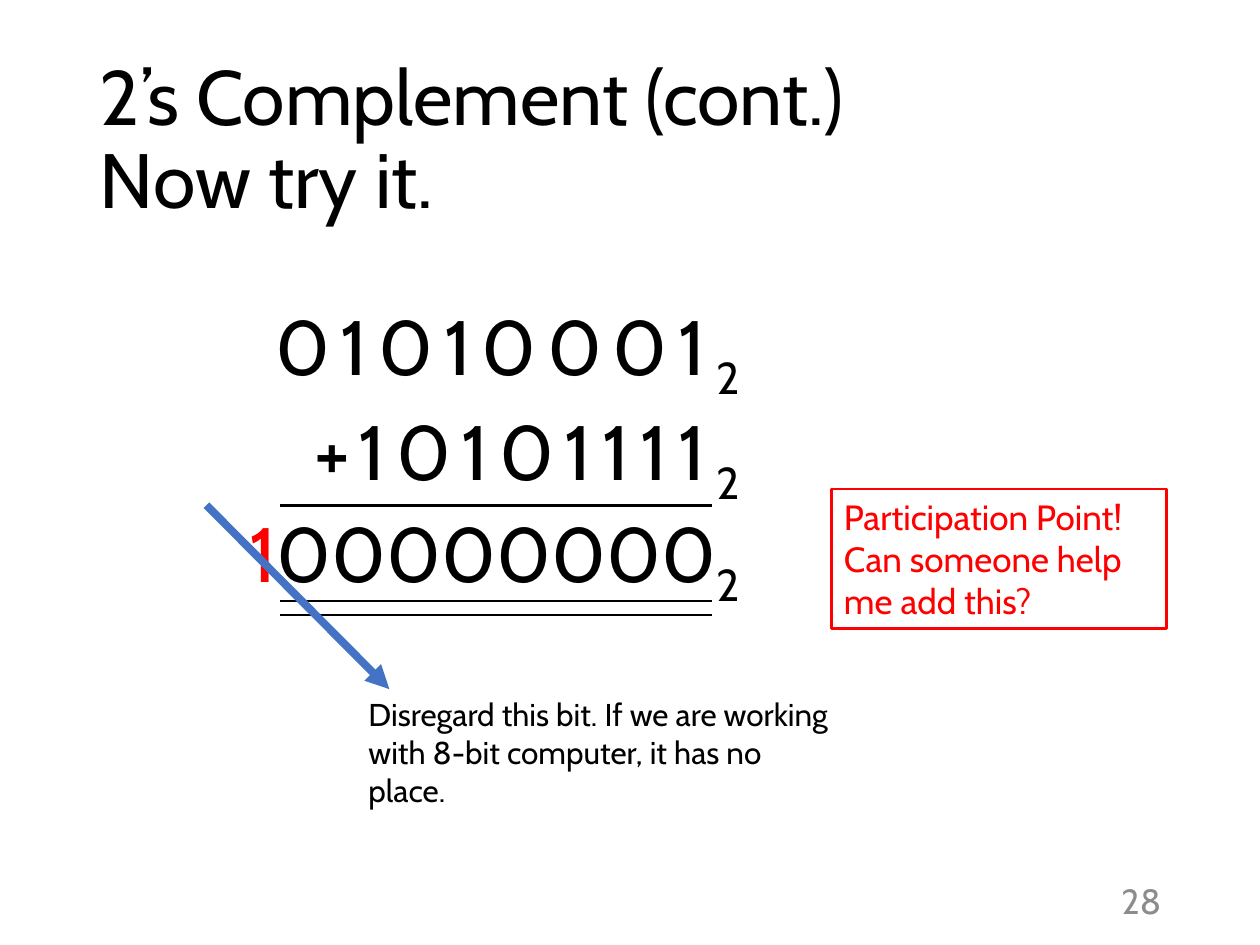
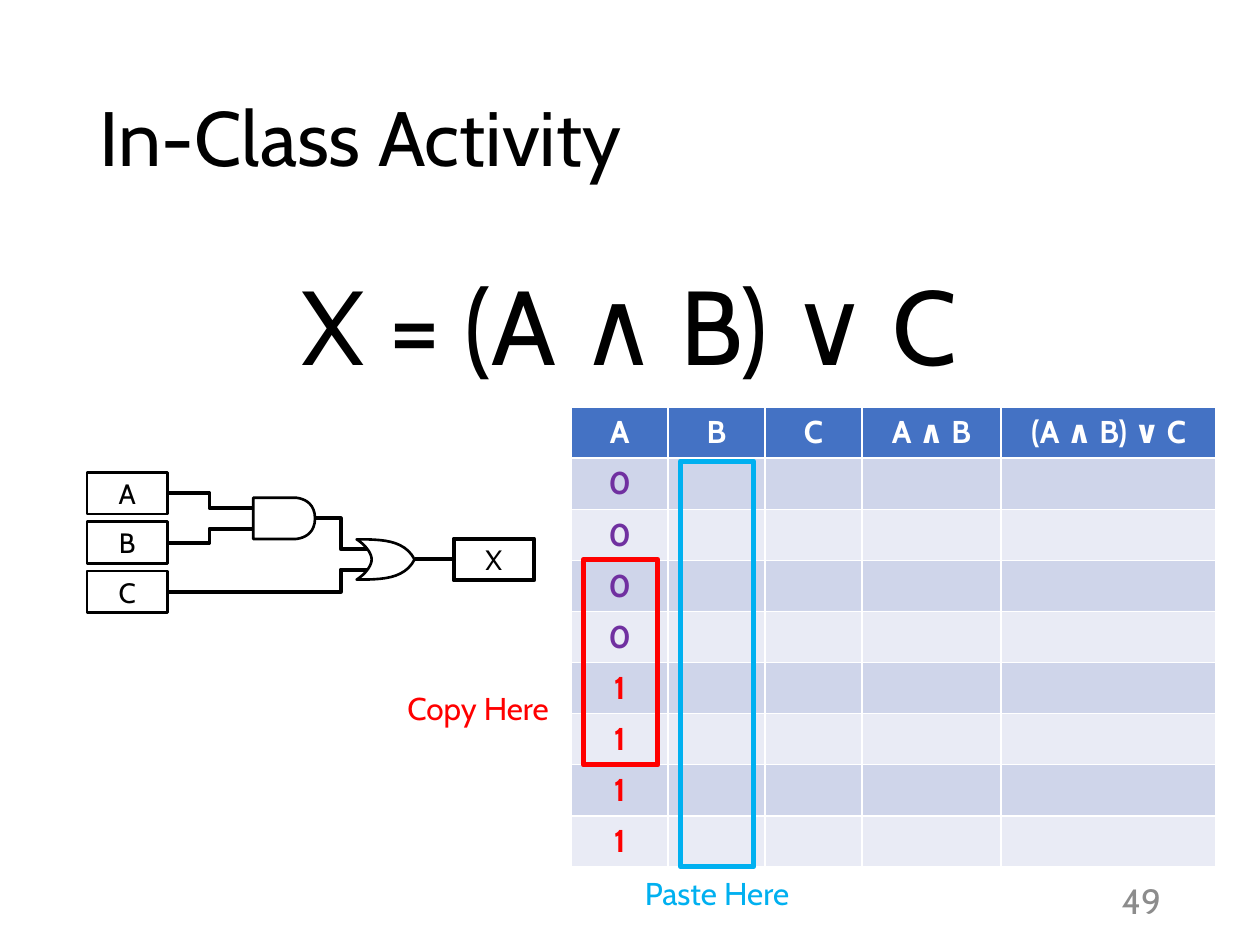
"""Builds two lecture slides: two's complement addition and a truth table exercise."""
from dataclasses import dataclass

from lxml import etree
from pptx import Presentation
from pptx.dml.color import RGBColor
from pptx.enum.shapes import MSO_CONNECTOR, MSO_SHAPE
from pptx.enum.text import MSO_ANCHOR, PP_ALIGN
from pptx.oxml.ns import qn
from pptx.util import Pt

LEFT, CENTER, RIGHT = PP_ALIGN.LEFT, PP_ALIGN.CENTER, PP_ALIGN.RIGHT
TOP, MIDDLE = MSO_ANCHOR.TOP, MSO_ANCHOR.MIDDLE
STRAIGHT, ELBOW = MSO_CONNECTOR.STRAIGHT, MSO_CONNECTOR.ELBOW
RECTANGLE = MSO_SHAPE.RECTANGLE


@dataclass(frozen=True)
class Theme:
    """Colours, font, type sizes and line widths shared by the slides."""
    font: str = "Cabin"
    black: str = "000000"
    white: str = "FFFFFF"
    gray: str = "8C8C8C"
    red: str = "FF0000"
    blue: str = "4472C4"
    cyan: str = "00B0F0"
    purple: str = "7030A0"
    bands: tuple = ("CFD5EA", "E9EBF5")
    title: float = 44
    formula: float = 60
    note: float = 20
    body: float = 18
    label: float = 16
    thin: float = 1.5
    wire: float = 2.25
    frame: float = 3
    arrow: float = 4.5


THEME = Theme()
SUBSCRIPT = {"baseline": -25}


def color(value):
    """Turn a hex string into a colour."""
    return RGBColor.from_string(value)


def write(frame, text, size=THEME.body, ink=THEME.black, align=LEFT, anchor=TOP,
          bold=False, leading=None, tracking=0):
    """Fill a text frame from a string, or from paragraphs of (text, changes) runs."""
    frame.word_wrap = True
    frame.vertical_anchor = anchor
    paragraphs = [[(text, {})]] if isinstance(text, str) else text
    for index, pieces in enumerate(paragraphs):
        paragraph = frame.add_paragraph() if index else frame.paragraphs[0]
        paragraph.alignment = align
        paragraph.line_spacing = leading
        for words, changes in pieces:
            for number, line in enumerate(words.split("\n")):
                if number:
                    paragraph.add_line_break()
                run = paragraph.add_run()
                run.text = line
                run.font.name = THEME.font
                run.font.size = Pt(size)
                run.font.bold = bold
                run.font.color.rgb = color(changes.get("ink", ink))
                properties = run._r.get_or_add_rPr()
                if tracking:
                    properties.set("spc", str(tracking * 100))
                if "baseline" in changes:
                    properties.set("baseline", str(changes["baseline"] * 1000))


def cubic(start, pull, push, end, steps=12):
    """Return points along a cubic curve."""
    points = []
    for step in range(steps + 1):
        t = step / steps
        weights = ((1 - t) ** 3, 3 * t * (1 - t) ** 2, 3 * t * t * (1 - t), t ** 3)
        points.append(tuple(sum(w * p[axis] for w, p in zip(weights, (start, pull, push, end)))
                            for axis in (0, 1)))
    return points


def mirrored(upper, axis):
    """Close an outline by reflecting its upper half below a horizontal axis."""
    return upper + [(x, 2 * axis - y) for x, y in reversed(upper)]


class Deck:
    """Holds the presentation, its theme and the current slide."""

    def __init__(self, theme):
        """Start an empty deck."""
        self.theme = theme
        self.presentation = Presentation()
        self.presentation.slide_width, self.presentation.slide_height = Pt(720), Pt(540)
        self.slide = None

    def start(self, title, number):
        """Add a slide with its title and page number."""
        self.slide = self.presentation.slides.add_slide(self.presentation.slide_layouts[6])
        self.text(title, (50, 28.8, 620.6, 104.4), size=self.theme.title,
                  anchor=MIDDLE, leading=0.9)
        self.text(str(number), (622.4, 500.4, 48.2, 28.8), size=self.theme.note,
                  ink=self.theme.gray, align=RIGHT, anchor=MIDDLE)

    def text(self, text, box, **style):
        """Add a text box."""
        write(self.slide.shapes.add_textbox(*map(Pt, box)).text_frame, text, **style)

    def outline(self, shape, line, width, fill=None):
        """Set the line and fill of a shape."""
        shape.shadow.inherit = False
        shape.line.color.rgb = color(line)
        shape.line.width = Pt(width)
        if fill:
            shape.fill.solid()
            shape.fill.fore_color.rgb = color(fill)
        else:
            shape.fill.background()

    def box(self, box, line, width, fill=None, text=None, **style):
        """Add a rectangle, with text if given."""
        shape = self.slide.shapes.add_shape(RECTANGLE, *map(Pt, box))
        self.outline(shape, line, width, fill)
        if text:
            write(shape.text_frame, text, **style)

    def gate(self, points):
        """Add a closed logic gate outline."""
        start, *rest = [(Pt(x), Pt(y)) for x, y in points]
        builder = self.slide.shapes.build_freeform(*start)
        builder.add_line_segments(rest, close=True)
        self.outline(builder.convert_to_shape(), self.theme.black, self.theme.thin)

    def line(self, start, end, width, ink=THEME.black, bend=None, arrow=False):
        """Add a straight line, or an elbow turning at the given share of its width."""
        connector = self.slide.shapes.add_connector(
            ELBOW if bend else STRAIGHT, *map(Pt, (*start, *end)))
        connector.line.color.rgb = color(ink)
        connector.line.width = Pt(width)
        properties = connector._element.spPr
        if bend:
            guides = properties.find(qn("a:prstGeom")).get_or_add_avLst()
            etree.SubElement(guides, qn("a:gd"), name="adj1", fmla=f"val {round(bend * 100000)}")
        if arrow:
            etree.SubElement(connector.line._get_or_add_ln(), qn("a:tailEnd"), type="triangle")
        etree.SubElement(properties, qn("a:effectLst"))

    def table(self, origin, widths, row_height, header, rows):
        """Add a banded table whose rows hold (text, colour) pairs."""
        theme = self.theme
        table = self.slide.shapes.add_table(
            len(rows) + 1, len(widths), *map(Pt, (*origin, sum(widths), row_height * (len(rows) + 1)))
        ).table
        for column, width in zip(table.columns, widths):
            column.width = Pt(width)
        content = [[(name, theme.white) for name in header]] + rows
        for r, entries in enumerate(content):
            for c, (value, ink) in enumerate(entries):
                cell = table.cell(r, c)
                cell.fill.solid()
                cell.fill.fore_color.rgb = color(theme.bands[(r - 1) % 2] if r else theme.blue)
                if value:
                    write(cell.text_frame, value, ink=ink, align=CENTER, bold=True)


def addition_slide(deck):
    """Show the binary addition and its overflowing bit."""
    theme = deck.theme
    digits = {"size": theme.title, "align": RIGHT}
    deck.start("2’s Complement (cont.)\nNow try it.", 28)
    base = ("2", SUBSCRIPT)
    addends = [[(addend, {}), base] for addend in ("01010001", "+10101111")]
    deck.text(addends, (140, 167, 290, 113.8), tracking=6, **digits)
    for rule_y in (288.7, 343.4, 351.4):
        deck.line((160, rule_y), (406.8, rule_y), theme.thin)
    total = [[("1", {"ink": theme.red}), ("00000000", {}), base]]
    deck.text(total, (120, 285.1, 310, 60.5), **digits)
    deck.line((118, 288.7), (222.5, 393.8), theme.arrow, theme.blue, arrow=True)
    deck.text("Disregard this bit. If we are working\nwith 8-bit computer, it has no place.",
              (203.5, 393.8, 280.8, 51.1))
    deck.box((475.2, 279.4, 191.5, 79.9), theme.red, theme.thin,
             text="Participation Point! Can someone help me add this?",
             size=theme.note, ink=theme.red)


def circuit(deck):
    """Draw the inputs, gates, wires and output of the formula."""
    theme = deck.theme
    label = {"size": theme.label, "align": CENTER, "anchor": MIDDLE}
    box_x, box_w, box_h = 49.7, 46, 23.8
    first_y, pitch = 270, 28.2
    wire_x = box_x + box_w
    pins = [first_y + pitch * i + box_h / 2 for i in range(3)]
    for name, pin in zip("ABC", pins):
        deck.box((box_x, pin - box_h / 2, box_w, box_h), theme.black, theme.thin,
                 theme.white, name, **label)

    and_x, and_top, and_y, and_nose = 144.7, 284.4, 296.2, 180
    shoulder = (168.5, and_top)
    deck.gate(mirrored([(and_x, and_top)] + cubic(
        shoulder, shoulder, (and_nose, and_top), (and_nose, and_y)), and_y))

    or_top, or_y, or_nose, or_pin = 308.2, 319.7, 236.9, 209.5
    tail = (203.8, or_top)
    back = cubic((212.4, or_y), (212.4, 315.4), (207.4, 310.3), tail)
    front = cubic(tail, (217.4, or_top), (231.1, or_top), (or_nose, or_y))
    deck.gate(mirrored(back + front, or_y))

    wires = [
        ((wire_x, pins[0]), (and_x, and_y - 5.9), 0.49),
        ((wire_x, pins[1]), (and_x, and_y + 5.9), 0.49),
        ((wire_x, pins[2]), (or_pin, or_y + 5.9), 0.87),
        ((and_nose, and_y), (or_pin, or_y - 5.9), 0.5),
        ((or_nose, or_y), (259.2, or_y), None),
    ]
    for start, end, bend in wires:
        deck.line(start, end, theme.wire, bend=bend)
    deck.box((259.2, or_y - box_h / 2, box_w, box_h), theme.black, theme.wire,
             text="X", **label)


def activity_slide(deck):
    """Show the formula, its circuit and the truth table to complete."""
    theme = deck.theme
    deck.start("In-Class Activity", 49)
    deck.text("X = (A ∧ B) ∨ C", (141.1, 145.4, 437, 79.9), size=theme.formula, align=CENTER)
    circuit(deck)
    widths = (55.4, 55.4, 55.4, 79.4, 123)
    blanks = [("", theme.black)] * (len(widths) - 1)
    rows = [[entry] + blanks
            for entry in [("0", theme.purple)] * 4 + [("1", theme.red)] * 4]
    deck.table((326.4, 232.6), widths, 29.2, ("A", "B", "C", "A ∧ B", "(A ∧ B) ∨ C"), rows)
    marks = [
        ("Copy Here", theme.red, (333.4, 319.7, 42.5, 117.4), (223.9, 390.2, 98.6, 28.8)),
        ("Paste Here", theme.cyan, (388.8, 263.5, 41.8, 231.8), (360, 496.1, 99.4, 28.8)),
    ]
    for caption, ink, highlight, place in marks:
        deck.text(caption, place, ink=ink, align=CENTER)
        deck.box(highlight, ink, theme.frame)


def main():
    """Build both slides and save them."""
    deck = Deck(THEME)
    addition_slide(deck)
    activity_slide(deck)
    deck.presentation.save("out.pptx")


if __name__ == "__main__":
    main()
